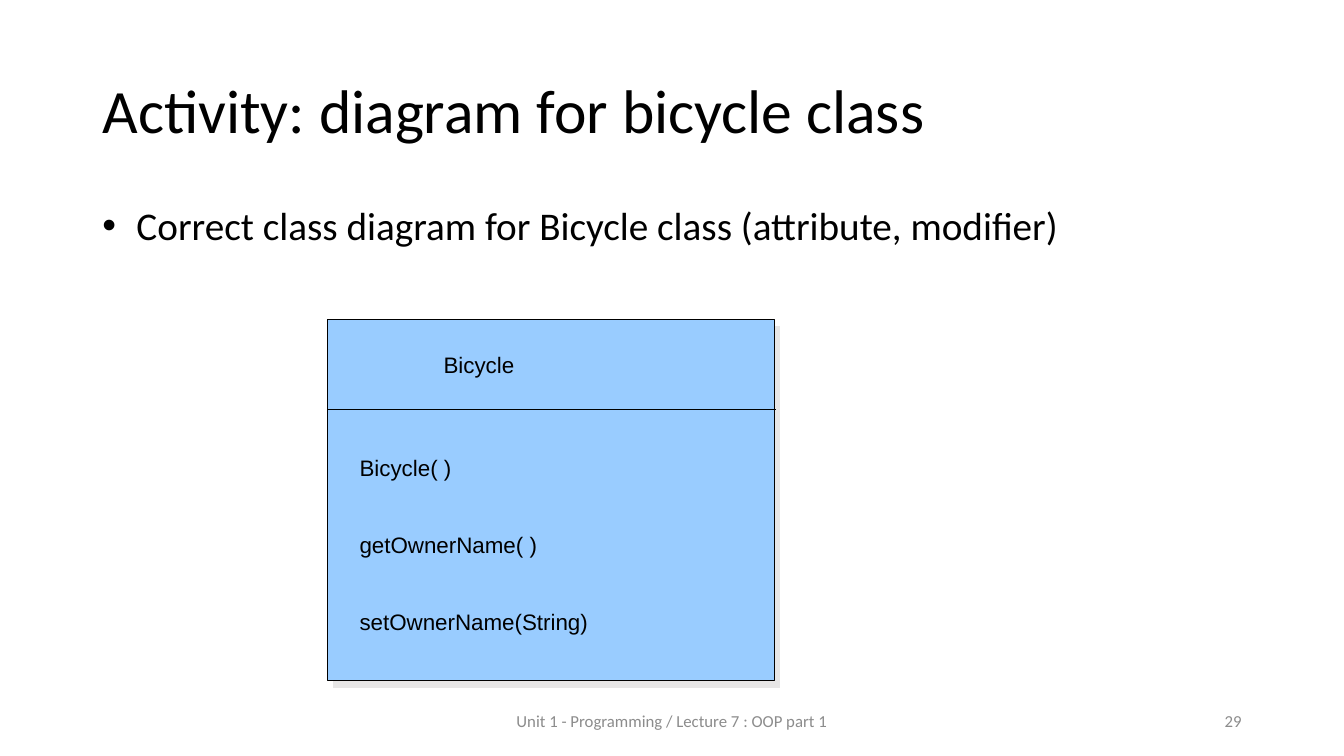
"""Build the slide with the class diagram of the Bicycle class."""
from lxml import etree
from pptx import Presentation
from pptx import util as u
from pptx.dml import color
from pptx.enum import shapes, text
from pptx.oxml import ns, parse_xml


def rgb(code):
    return color.RGBColor.from_string(code)


def write(shape, words, look, para, frame):
    body = shape.text_frame
    body.text = words
    line = body.paragraphs[0]
    font = line.runs[0].font
    for item, values in ((font, look), (line, para), (body, frame)):
        for name, value in values.items():
            setattr(item, name, value)
    font.color.rgb = rgb(hues[look["size"]])


hues = {u.Pt(44): "000000", u.Pt(28): "000000", u.Pt(16): "000000", u.Pt(12): "8C8C8C"}
left, mid, right = text.PP_ALIGN.LEFT, text.PP_ALIGN.CENTER, text.PP_ALIGN.RIGHT
center, top = text.MSO_ANCHOR.MIDDLE, text.MSO_ANCHOR.TOP

deck = Presentation()
deck.slide_width, deck.slide_height = u.Pt(960), u.Pt(540)
slide = deck.slides.add_slide(deck.slide_layouts[1])

holders = [
    ("Activity: diagram for bicycle class", 28.75, 104.4, 44, 0, center),
    (" Correct class diagram for Bicycle class (attribute, modifier)", 143.75, 342.6, 28, 10, top),
]
for shape, (words, y, high, size, gap, anchor) in zip(slide.placeholders, holders):
    shape.left, shape.top, shape.width, shape.height = u.Pt(66), u.Pt(y), u.Pt(828), u.Pt(high)
    look = {"name": "Calibri", "size": u.Pt(size)}
    para = {"alignment": left, "line_spacing": 0.9, "space_before": u.Pt(gap)}
    write(shape, words, look, para, {"vertical_anchor": anchor, "word_wrap": True})

props = slide.placeholders[1].text_frame.paragraphs[0]._p.get_or_add_pPr()
props.set("marL", str(u.Pt(18)))
props.set("indent", str(u.Pt(-18)))
etree.SubElement(props, ns.qn("a:buFont")).set("typeface", "Arial")
etree.SubElement(props, ns.qn("a:buChar")).set("char", "•")

notes = [("Unit 1 - Programming / Lecture 7 : OOP part 1", 318, 324, mid), ("29", 678, 216, right)]
for words, x, wide, align in notes:
    shape = slide.shapes.add_textbox(u.Pt(x), u.Pt(500.5), u.Pt(wide), u.Pt(28.75))
    look = {"name": "Calibri", "size": u.Pt(12)}
    write(shape, words, look, {"alignment": align}, {"vertical_anchor": center, "word_wrap": True})

group = slide.shapes.add_group_shape().shapes
card = group.add_shape(shapes.MSO_SHAPE.ROUNDED_RECTANGLE, u.Pt(234), u.Pt(228.25), u.Pt(319), u.Pt(258))
card.adjustments[0] = 0
card.fill.solid()
card.fill.fore_color.rgb = rgb("99CCFF")
rule = group.add_connector(shapes.MSO_CONNECTOR.STRAIGHT, u.Pt(234), u.Pt(292.25), u.Pt(554.5), u.Pt(292.25))
for item in (card, rule):
    item.line.color.rgb = rgb("000000")
    item.line.width = u.Pt(0.75)

shade = f"""<a:effectLst {ns.nsdecls("a")}>
  <a:outerShdw blurRad="0" dist="{u.Pt(6.4)}" dir="{51 * 60000}" algn="ctr" rotWithShape="0">
    <a:srgbClr val="E7E6E6"/>
  </a:outerShdw>
</a:effectLst>"""
card._element.spPr.append(parse_xml(shade))
etree.SubElement(rule._element.spPr, ns.qn("a:effectLst"))

labels = [("Bicycle", 309.75, 247.5, 109)]
methods = [("Bicycle( )", 134), ("getOwnerName( )", 236), ("setOwnerName(String)", 297)]
for row, (words, wide) in enumerate(methods):
    labels.append((words, 249.75, 320.5 + 55 * row, wide))
for words, x, y, wide in labels:
    shape = group.add_textbox(u.Pt(x), u.Pt(y), u.Pt(wide), u.Pt(35.25))
    look = {"name": "Arial", "size": u.Pt(16)}
    write(shape, words, look, {"alignment": left}, {"vertical_anchor": top, "word_wrap": True})

deck.save("out.pptx")
